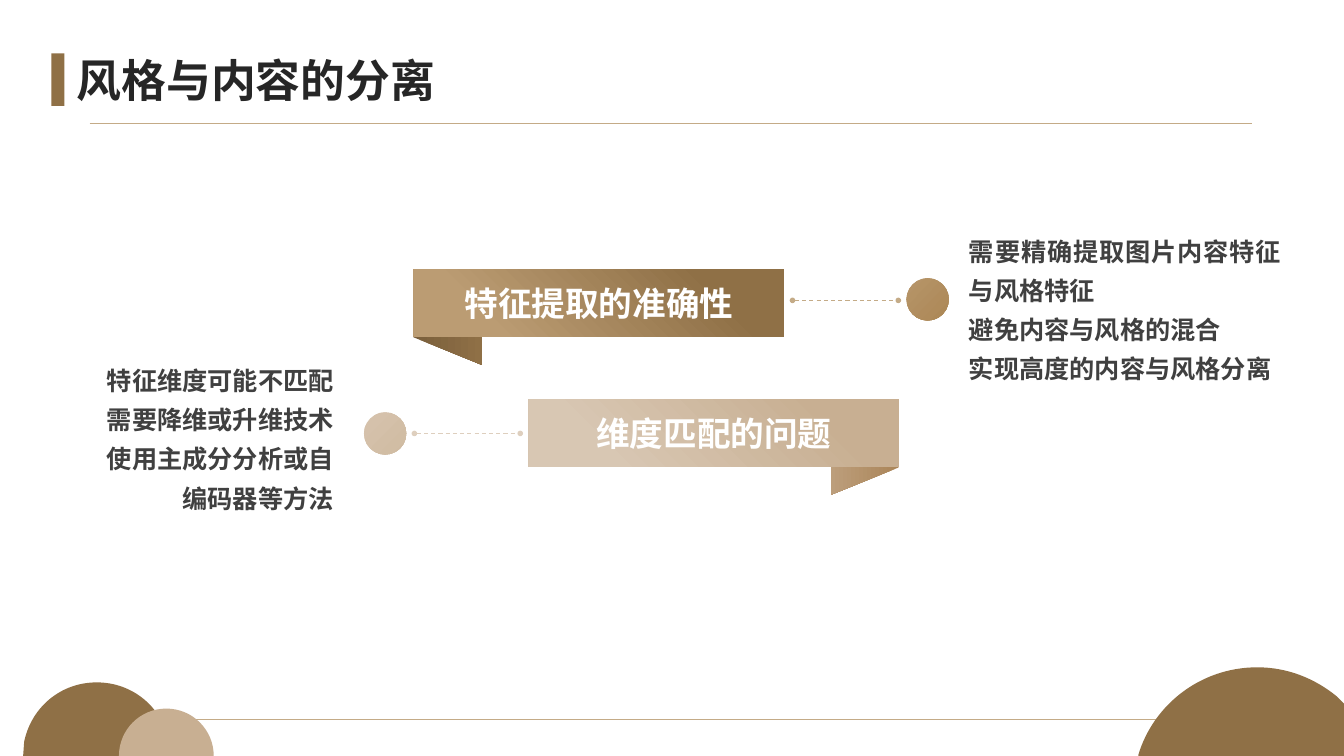
from lxml.etree import SubElement
from pptx import Presentation
from pptx.dml.color import RGBColor
from pptx.enum.dml import MSO_LINE
from pptx.enum.shapes import MSO_CONNECTOR, MSO_SHAPE
from pptx.enum.text import MSO_ANCHOR, PP_ALIGN
from pptx.oxml.ns import qn
from pptx.util import Inches, Pt

THEME = {
    "title": "262626", "body": "404040", "banner": "FFFFFF",
    "brown": "8F7046", "tan": "C8AF92", "rule": "C4AB87", "pale": "DECFBE",
    "title_size": 32, "banner_size": 24, "body_size": 18,
    "title_font": "Arial", "font": "Noto Sans CJK SC",
}


def paint(sp, colors, angle=None, positions=(0, 1)):
    sp.shadow.inherit = False
    sp.line.fill.background()
    if angle is None:
        sp.fill.solid()
        sp.fill.fore_color.rgb = RGBColor.from_string(colors)
        return
    sp.fill.gradient()
    sp.fill.gradient_angle = 360 - angle
    for stop, color, position in zip(sp.fill.gradient_stops, colors, positions):
        stop.color.rgb = RGBColor.from_string(color)
        stop.position = position


def write(sp, lines, role, font, align, spacing=None):
    tf = sp.text_frame
    tf.word_wrap = True
    tf.vertical_anchor = MSO_ANCHOR.MIDDLE
    tf.margin_left = tf.margin_right = tf.margin_top = tf.margin_bottom = 0
    for i, line in enumerate(lines):
        p = tf.add_paragraph() if i else tf.paragraphs[0]
        p.alignment = align
        p.line_spacing = spacing
        r = p.add_run()
        r.text = line
        r.font.name = THEME[font]
        r.font.size = Pt(THEME[role + "_size"])
        r.font.bold = True
        r.font.color.rgb = RGBColor.from_string(THEME[role])
        ea = SubElement(r.font._element, qn("a:ea"))
        ea.set("typeface", THEME["font"])


prs = Presentation()
prs.slide_width = Inches(13.33)
prs.slide_height = Inches(7.5)
s = prs.slides.add_slide(prs.slide_layouts[5])

title = s.shapes.title
title.left, title.top, title.width, title.height = map(Inches, (0.76, 0.39, 11.81, 0.79))
write(title, ["风格与内容的分离"], "title", "title_font", PP_ALIGN.LEFT)

lines = [
    (0.89, 12.42, 1.22, "rule", False),
    (1.69, 11.55, 7.14, "rule", False),
    (4.11, 5.16, 4.3, "pale", True),
    (7.86, 8.91, 2.98, "rule", True),
]
for x1, x2, y, color, dotted in lines:
    cn = s.shapes.add_connector(MSO_CONNECTOR.STRAIGHT, Inches(x1), Inches(y), Inches(x2), Inches(y))
    cn.line.color.rgb = RGBColor.from_string(THEME[color])
    cn.line.width = Pt(0.75 if dotted else 0.5)
    if dotted:
        cn.line.dash_style = MSO_LINE.DASH
        for name in ("a:headEnd", "a:tailEnd"):
            end = SubElement(cn.line._get_or_add_ln(), qn(name))
            end.set("type", "oval")
            end.set("w", "sm")
            end.set("len", "sm")
    SubElement(cn._element.spPr, qn("a:effectLst"))

domes = [
    ("brown", (0.96, 6.77), "CLLLC",
     [(1.32, 6.77), (1.61, 7.02), (1.68, 7.36), (1.69, 7.5), (0.23, 7.5), (0.24, 7.36),
      (0.31, 7.02), (0.6, 6.77), (0.96, 6.77)]),
    ("tan", (1.65, 7.03), "CLC",
     [(1.39, 7.03), (1.18, 7.24), (1.18, 7.5), (2.12, 7.5),
      (2.12, 7.24), (1.91, 7.03), (1.65, 7.03)]),
    ("brown", (12.47, 6.62), "CLLLLC",
     [(12.77, 6.62), (13.04, 6.73), (13.26, 6.91), (13.33, 6.98), (13.33, 7.5),
      (11.29, 7.5), (11.29, 7.49), (11.44, 6.99), (11.91, 6.62), (12.47, 6.62)]),
]
for color, (x, y), segments, points in domes:
    fb = s.shapes.build_freeform(Inches(x), Inches(y))
    fb.add_line_segments([(Inches(px), Inches(py)) for px, py in points])
    sp = fb.convert_to_shape()
    steps = iter(list(sp._element.iter(qn("a:lnTo"))))
    for segment in segments:
        step = next(steps)
        if segment == "C":
            step.tag = qn("a:cubicBezTo")
            for _ in range(2):
                extra = next(steps)
                step.append(extra[0])
                extra.getparent().remove(extra)
    paint(sp, THEME[color])

folds = [
    (8.29, 4.28, ("AB8559", "BC9E7B"), True),
    (4.15, 2.99, ("7A5F3C", "8F7046"), False),
]
for x, y, colors, flipped in folds:
    sp = s.shapes.add_shape(MSO_SHAPE.PARALLELOGRAM, Inches(x), Inches(y), Inches(0.58), Inches(0.68))
    sp.adjustments[0] = 0.474
    sp.rotation = 270
    if flipped:
        sp._element.spPr.xfrm.set("flipV", "1")
    paint(sp, colors, 90)

for x, y, colors in [(8.99, 2.76, ("B69569", "AC8756")), (3.61, 4.09, ("D6C3AD", "D0BBA2"))]:
    sp = s.shapes.add_shape(MSO_SHAPE.OVAL, Inches(x), Inches(y), Inches(0.42), Inches(0.42))
    paint(sp, colors, 44)

banners = [
    (5.24, 3.96, ("C8AF92", "D8C7B3"), "维度匹配的问题"),
    (4.1, 2.67, ("8F7046", "BB9C73"), "特征提取的准确性"),
]
for x, y, colors, text in banners:
    sp = s.shapes.add_shape(MSO_SHAPE.RECTANGLE, Inches(x), Inches(y), Inches(3.68), Inches(0.67))
    paint(sp, colors, 135, (0.2, 0.8))
    write(sp, [text], "banner", "font", PP_ALIGN.CENTER)

notes = [
    (0.9, 3.67, 2.41, PP_ALIGN.RIGHT,
     ["特征维度可能不匹配", "需要降维或升维技术", "使用主成分分析或自编码器等方法"]),
    (9.61, 2.39, 3.1, PP_ALIGN.JUSTIFY,
     ["需要精确提取图片内容特征与风格特征", "避免内容与风格的混合", "实现高度的内容与风格分离"]),
]
for x, y, w, align, text in notes:
    sp = s.shapes.add_textbox(Inches(x), Inches(y), Inches(w), Inches(1.28))
    write(sp, text, "body", "font", align, 1.3)

accent = s.shapes.add_shape(MSO_SHAPE.RECTANGLE, Inches(0.51), Inches(0.53), Inches(0.13), Inches(0.52))
paint(accent, THEME["brown"])

prs.save("out.pptx")
